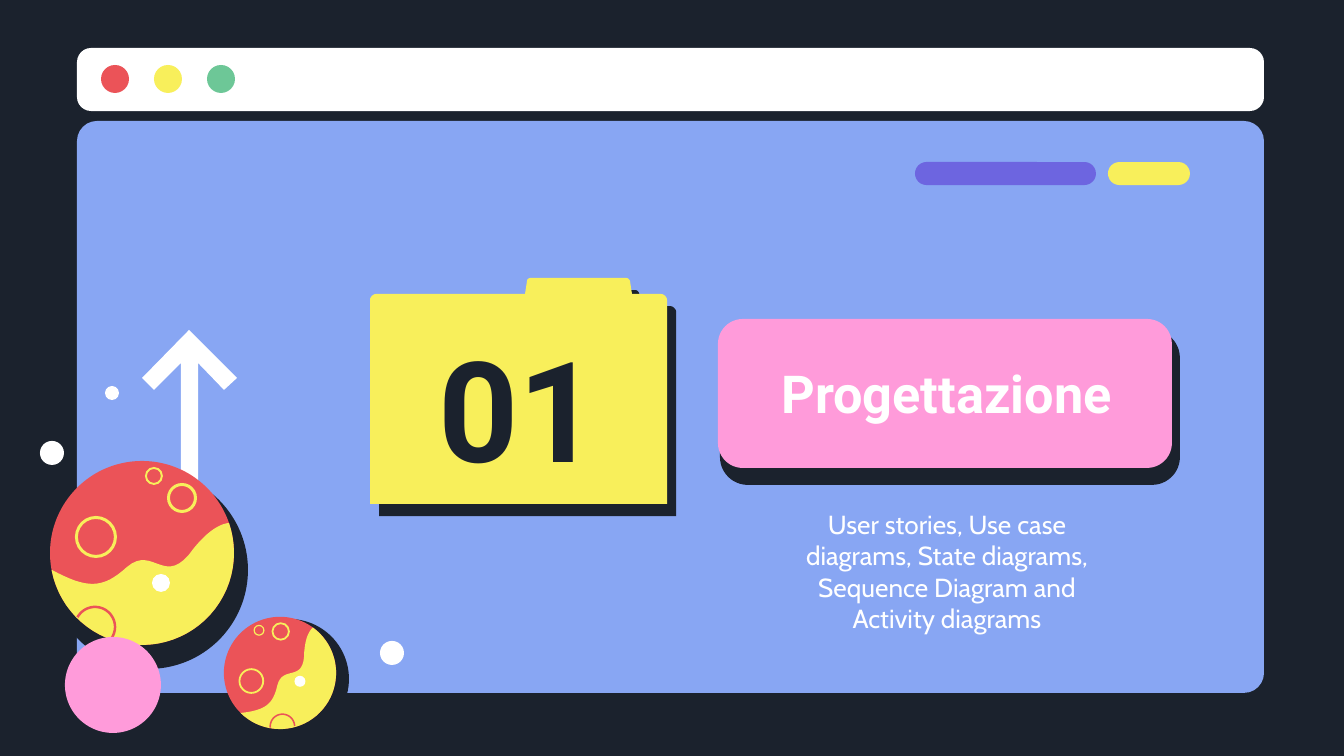
import math
import pptx
import pptx.util
import pptx.dml.color
import pptx.enum.shapes
import pptx.enum.text
import lxml.etree

RGBColor = pptx.dml.color.RGBColor
SHAPE = pptx.enum.shapes.MSO_SHAPE
ANCHOR = pptx.enum.text.MSO_ANCHOR
PX = 914400 / 134.4

NAVY = RGBColor(0x1B, 0x22, 0x2D)
BLUE = RGBColor(0x88, 0xA6, 0xF3)
WHITE = RGBColor(0xFF, 0xFF, 0xFF)
RED = RGBColor(0xEB, 0x53, 0x58)
YELLOW = RGBColor(0xF8, 0xEF, 0x5B)
GREEN = RGBColor(0x6D, 0xC7, 0x97)
PURPLE = RGBColor(0x6D, 0x65, 0xE0)
PINK = RGBColor(0xFF, 0x9B, 0xDA)

WINDOW = [
    ((77, 121, 1187, 572), 0.035, BLUE),
    ((77, 48, 1187, 63), 0.223, WHITE),
    ((915, 162, 181, 23), 0.5, PURPLE),
    ((1108, 162, 82, 23), 0.5, YELLOW),
]
BUTTONS = [RED, YELLOW, GREEN]
BUTTON_START, BUTTON_GAP, BUTTON_Y, BUTTON_RADIUS = 115, 53, 79, 14
DOTS = [(52, 453, 12), (392, 653, 12), (112, 393, 7)]
LABEL = (718, 319, 454, 149)
LABEL_SHADOW = (723, 333, 454, 149)

ARROW = [(181, 577), (181, 363), (154, 390), (142, 378), (189, 330),
         (237, 378), (224, 390), (198, 363), (198, 577)]
FOLDER = [(667, 300), (667, 504), (370, 504), (370, 300),
          (370, 297, 373, 294, 376, 294), (525, 294), (527, 281),
          (527, 279, 529, 278, 531, 278), (626, 278),
          (628, 278, 629, 279, 630, 281), (632, 294), (661, 294),
          (664, 294, 667, 297, 667, 300)]

PLANET_RADIUS = 92
CRATERS = [(-46, -16, 21, 3), (40, -55, 15, 3), (12, -77, 9, 2)]
WAVE = [(-90, 17), (-55, 36, -39, 36, -15, 14), (12, -9, 23, 37, 52, -5),
        (67, -23, 78, -29, 87, -30)]
WAVE_ARC = (-19, 169)
EDGE_CRATER = (-47, 74, 20, 209, 393)
PLANET_DOT = (19, 30, 9)
PLANETS = [
    {"center": (142, 553), "scale": 1, "turn": 0, "shadow": (149, 570, 99)},
    {"center": (280, 673), "scale": 0.61, "turn": -35, "shadow": (289, 679, 60)},
]
MOON = (113, 685, 48)

TEXTS = [
    ("01", (405, 340, 228, 133), dict(size=75, font="Roboto", color=NAVY, bold=True)),
    ("Progettazione", (732, 331, 429, 124),
     dict(size=28, font="Roboto", color=WHITE, bold=True)),
    ("User stories, Use case diagrams, State diagrams, Sequence Diagram and Activity diagrams",
     (783, 495, 328, 93),
     dict(size=14, font="Cabin", color=WHITE, anchor=ANCHOR.TOP)),
]

deck = pptx.Presentation()
deck.slide_width = pptx.util.Inches(10)
deck.slide_height = pptx.util.Inches(5.625)
page = deck.slides.add_slide(deck.slide_layouts[6])
page.background.fill.solid()
page.background.fill.fore_color.rgb = NAVY


def emu(value):
    return round(value * PX)


def paint(shape, fill=None, line=None, width=0):
    shape.shadow.inherit = False
    if fill is None:
        shape.fill.background()
    else:
        shape.fill.solid()
        shape.fill.fore_color.rgb = fill
    if line is None:
        shape.line.fill.background()
    else:
        shape.line.color.rgb = line
        shape.line.width = emu(width)
    return shape


def preset(kind, box, fill, adjust=None, **outline):
    shape = page.shapes.add_shape(kind, *map(emu, box))
    if adjust is not None:
        shape.adjustments[0] = adjust
    return paint(shape, fill, **outline)


def circle(x, y, radius, fill, ring=None):
    box = (x - radius, y - radius, 2 * radius, 2 * radius)
    if ring is None:
        return preset(SHAPE.OVAL, box, fill)
    return preset(SHAPE.DONUT, box, fill, ring / (2 * radius))


def flatten(path, steps=16):
    points = []
    for part in path:
        if len(part) == 2:
            points.append(part)
            continue
        corners = [points[-1], part[:2], part[2:4], part[4:]]
        for step in range(1, steps + 1):
            t = step / steps
            weights = [(1 - t) ** 3, 3 * t * (1 - t) ** 2, 3 * t * t * (1 - t), t ** 3]
            points.append(tuple(sum(w * c[axis] for w, c in zip(weights, corners))
                                for axis in (0, 1)))
    return points


def arc(x, y, radius, first, last, steps=40):
    angles = [math.radians(first + (last - first) * i / steps) for i in range(steps + 1)]
    return [(x + radius * math.cos(a), y + radius * math.sin(a)) for a in angles]


def outline(points, close=True, **style):
    corners = [(emu(x), emu(y)) for x, y in points]
    builder = page.shapes.build_freeform(*corners[0])
    builder.add_line_segments(corners[1:], close=close)
    return paint(builder.convert_to_shape(), **style)


def cast_shadow(shape, distance, angle, color):
    effects = shape.element.spPr.find(pptx.oxml.ns.qn("a:effectLst"))
    shadow = lxml.etree.SubElement(
        effects, pptx.oxml.ns.qn("a:outerShdw"), blurRad="0",
        dist=str(pptx.util.Pt(distance)), dir=str(angle * 60000),
        algn="bl", rotWithShape="0")
    lxml.etree.SubElement(shadow, pptx.oxml.ns.qn("a:srgbClr"), val=str(color))


def planet(center, scale, turn, shadow):
    cos, sin = math.cos(math.radians(turn)), math.sin(math.radians(turn))

    def place(x, y):
        return (center[0] + scale * (x * cos - y * sin),
                center[1] + scale * (x * sin + y * cos))

    circle(*shadow, NAVY)
    circle(*center, PLANET_RADIUS * scale, RED)
    for x, y, radius, ring in CRATERS:
        circle(*place(x, y), radius * scale, YELLOW, ring * scale)
    edge = flatten(WAVE) + arc(0, 0, PLANET_RADIUS, *WAVE_ARC)
    outline([place(*point) for point in edge], fill=YELLOW)
    outline([place(*point) for point in arc(*EDGE_CRATER)], close=False,
            line=RED, width=2.5 * scale)
    x, y, radius = PLANET_DOT
    circle(*place(x, y), radius * scale, WHITE)


def write(text, box, size, font, color, bold=False, anchor=ANCHOR.MIDDLE):
    frame = page.shapes.add_textbox(*map(emu, box)).text_frame
    frame.word_wrap = True
    frame.vertical_anchor = anchor
    frame.margin_left = frame.margin_right = pptx.util.Inches(0.1)
    frame.margin_top = frame.margin_bottom = pptx.util.Inches(0.1)
    para = frame.paragraphs[0]
    para.alignment = pptx.enum.text.PP_ALIGN.CENTER
    span = para.add_run()
    span.text = text
    span.font.size = pptx.util.Pt(size)
    span.font.name = font
    span.font.bold = bold
    span.font.color.rgb = color


for box, corner, color in WINDOW:
    preset(SHAPE.ROUNDED_RECTANGLE, box, color, corner)
for index, color in enumerate(BUTTONS):
    circle(BUTTON_START + index * BUTTON_GAP, BUTTON_Y, BUTTON_RADIUS, color)
outline(ARROW, fill=WHITE)
preset(SHAPE.ROUNDED_RECTANGLE, LABEL_SHADOW, NAVY, 0.167, line=NAVY, width=6)
preset(SHAPE.ROUNDED_RECTANGLE, LABEL, PINK, 0.167)
cast_shadow(outline(flatten(FOLDER), fill=YELLOW), 8.2, 53, NAVY)
for text, box, style in TEXTS:
    write(text, box, **style)
planet(**PLANETS[0])
circle(*MOON, PINK)
planet(**PLANETS[1])
for dot in DOTS:
    circle(*dot, WHITE)

deck.save("out.pptx")
